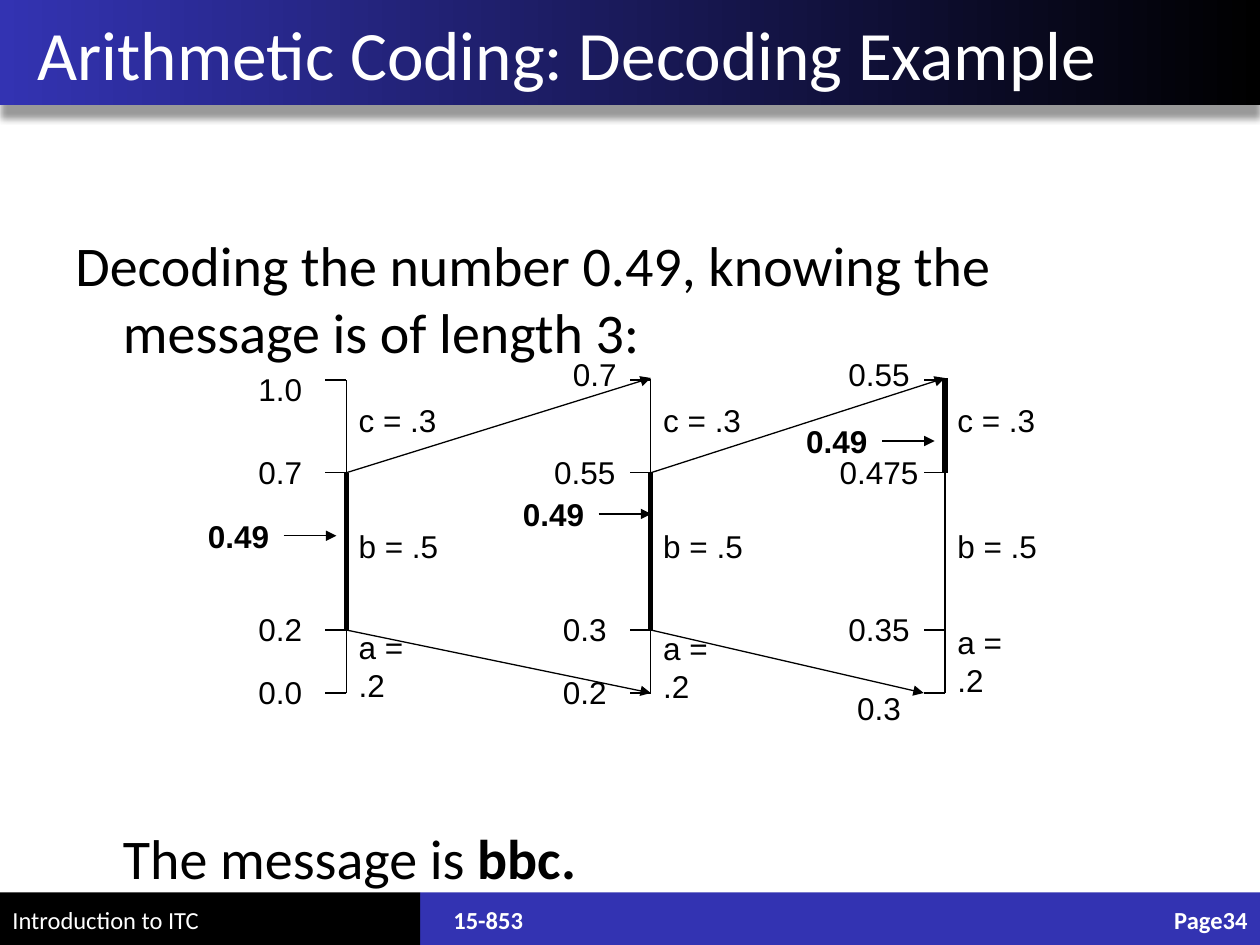
"""Build the slide on decoding a number with arithmetic coding."""
from pptx import Presentation
from pptx.dml.color import RGBColor
from pptx.enum import shapes, text
from pptx.oxml import parse_xml
from pptx.oxml.ns import nsdecls
from pptx.util import Cm, Pt

BLACK, WHITE, BLUE = "000000", "FFFFFF", "3333B2"
LEFT, CENTER, RIGHT = text.PP_ALIGN.LEFT, text.PP_ALIGN.CENTER, text.PP_ALIGN.RIGHT
MIDDLE, TOP = text.MSO_ANCHOR.MIDDLE, text.MSO_ANCHOR.TOP

prs = Presentation()
prs.slide_width, prs.slide_height = Cm(25.4), Cm(19.05)
s = prs.slides.add_slide(prs.slide_layouts[6])


def write(content, x, y, w, h, size=18, font="Arial", color=BLACK, bold=False,
          align=LEFT, anchor=MIDDLE, wrap=False, hang=0, bold_end=""):
    tf = s.shapes.add_textbox(Cm(x), Cm(y), Cm(w), Cm(h)).text_frame
    tf.word_wrap, tf.vertical_anchor = wrap, anchor
    p = tf.paragraphs[0]
    p.alignment = align
    if hang:
        pPr = p._p.get_or_add_pPr()
        pPr.set("marL", str(Cm(hang)))
        pPr.set("indent", str(-Cm(hang)))
    for part, strong in ((content, bold), (bold_end, True)):
        if part:
            r = p.add_run()
            r.text = part
            r.font.size, r.font.name, r.font.bold = Pt(size), font, strong
            r.font.color.rgb = RGBColor.from_string(color)


def line(x1, y1, x2, y2, width=0.75, arrow=False):
    c = s.shapes.add_connector(shapes.MSO_CONNECTOR.STRAIGHT, Cm(x1), Cm(y1), Cm(x2), Cm(y2))
    c.line.width = Pt(width)
    c.line.color.rgb = RGBColor.from_string(BLACK)
    if arrow:
        c.line._get_or_add_ln().append(parse_xml(f'<a:tailEnd {nsdecls("a")} type="triangle"/>'))
    c._element.spPr.append(parse_xml(f'<a:effectLst {nsdecls("a")}/>'))


for x, y, w, h, color in ((8.47, 17.99, 16.93, 1.06, BLUE), (0, 17.99, 8.47, 1.06, BLACK),
                          (0, 0, 25.4, 2.12, BLUE)):
    sp = s.shapes.add_shape(shapes.MSO_SHAPE.RECTANGLE, Cm(x), Cm(y), Cm(w), Cm(h))
    sp.shadow.inherit = False
    sp.line.fill.background()
    sp.fill.solid()
    sp.fill.fore_color.rgb = RGBColor.from_string(color)

header = sp
header.fill.gradient()
header.fill.gradient_angle = 0
for stop, color in zip(header.fill.gradient_stops, (BLUE, BLACK)):
    stop.color.rgb = RGBColor.from_string(color)
header._element.spPr.find("{*}effectLst").append(parse_xml(
    f'<a:outerShdw {nsdecls("a")} blurRad="{Pt(4)}" dist="{Pt(7)}" dir="5400000" rotWithShape="0">'
    '<a:srgbClr val="000000"><a:alpha val="40000"/></a:srgbClr></a:outerShdw>'))

write("Arithmetic Coding: Decoding Example", 0.51, 0, 24.26, 2.12, size=39.6,
      font="Calibri", color=WHITE, wrap=True)
for label, x, w, bold, align in (("Introduction to ITC", 0, 8.89, False, LEFT),
                                 ("15-853", 8.89, 9.09, True, LEFT),
                                 ("Page34", 23.06, 2.34, True, RIGHT)):
    write(label, x, 18.03, w, 1.02, size=14, font="Calibri", color=WHITE, bold=bold,
          align=align, wrap=True)

write("Decoding the number 0.49, knowing the message is of length 3:", 1.27, 4.52, 22.4, 3,
      size=32, font="Calibri", anchor=TOP, wrap=True, hang=0.96)
write("The message is ", 2.23, 16.48, 14, 1.5, size=32, font="Calibri", anchor=TOP,
      wrap=True, bold_end="bbc.")

AXES = (6.98, 13.12, 19.05)
BOTTOM, A_TOP, B_TOP, C_TOP = LEVELS = (13.97, 12.7, 9.53, 7.66)
TIP, TICK, LABEL_H = 7.62, 0.43, 1.09
columns = (
    (("0.0", 13.41), ("0.2", 12.14), ("0.7", 8.97), ("1.0", 7.29), 12.88),
    (("0.2", 13.41), ("0.3", 12.14), ("0.55", 8.97), ("0.7", 6.99), 12.9),
    (("0.3", 13.72), ("0.35", 12.14), ("0.475", 8.97), ("0.55", 6.99), 12.78),
)
for axis, (*bounds, a_y) in zip(AXES, columns):
    line(axis, BOTTOM, axis, C_TOP)
    for level in LEVELS:
        line(axis, level, axis - TICK, level)
    write("a = .2", axis, a_y, 1.95, LABEL_H, wrap=True)
    write("b = .5", axis, 10.46, 2.13, LABEL_H)
    write("c = .3", axis, 7.92, 2.11, LABEL_H)
    for bound, y in bounds:
        shift = 0.2 if bound == "0.7" and y < B_TOP - 1 else 0
        write(bound, axis - 2.38 + shift, y, 2.1, LABEL_H, align=CENTER)

for start, end, low_end in ((AXES[0], AXES[1], AXES[1]), (AXES[1], AXES[2], AXES[2] - TICK)):
    line(start, A_TOP, low_end, BOTTOM, arrow=True)
    line(start, B_TOP, end, TIP, arrow=True)

for axis, low, high in zip(AXES, (A_TOP, A_TOP, B_TOP), (B_TOP, B_TOP, TIP)):
    line(axis, low, axis, high, width=3)

for x, y in ((5.72, 10.8), (12.07, 10.36), (17.78, 8.89)):
    line(x, y, x + 1.06, y, arrow=True)
    write("0.49", x - 1.78, y - LABEL_H / 2, 1.75, LABEL_H, bold=True)

prs.save("out.pptx")
